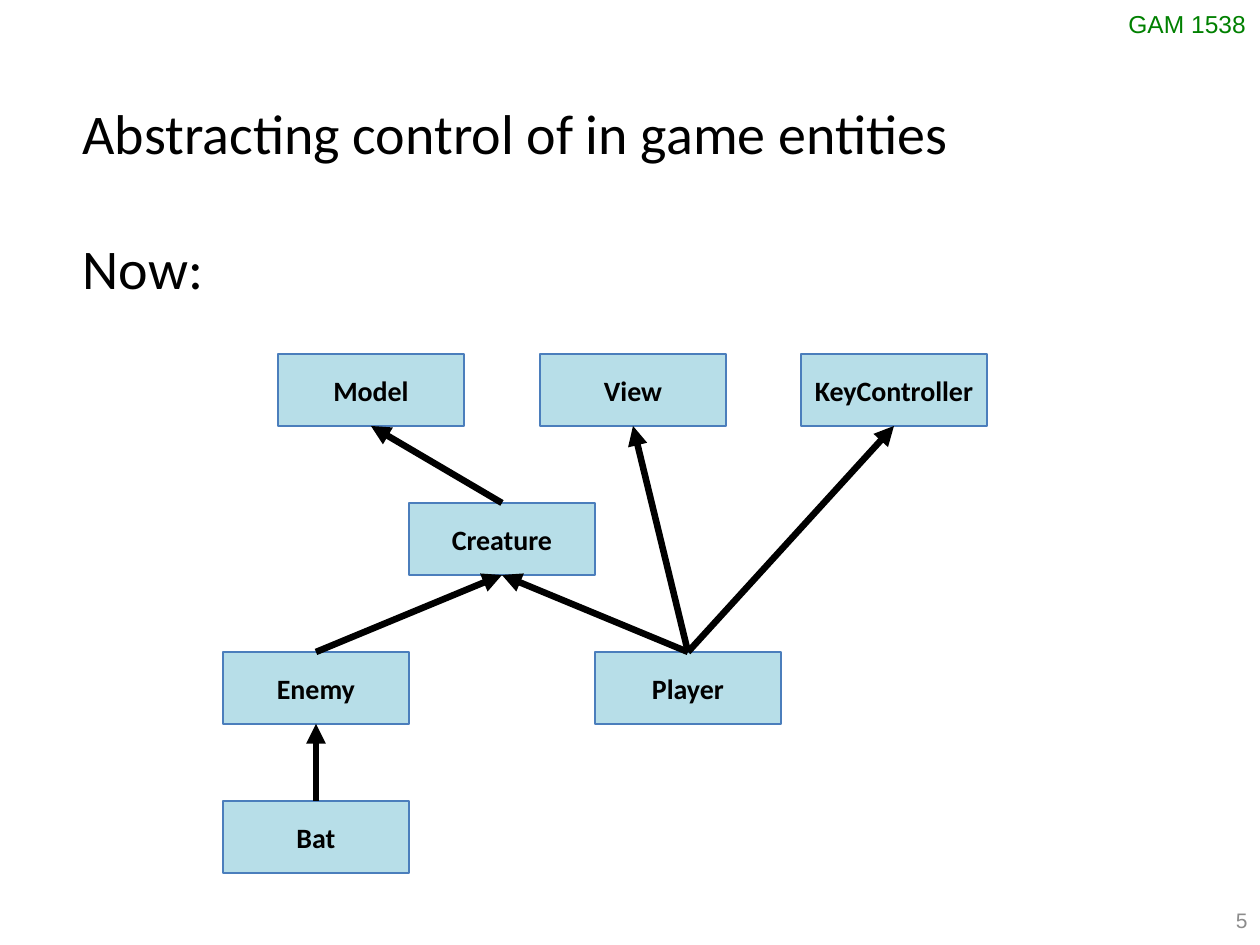
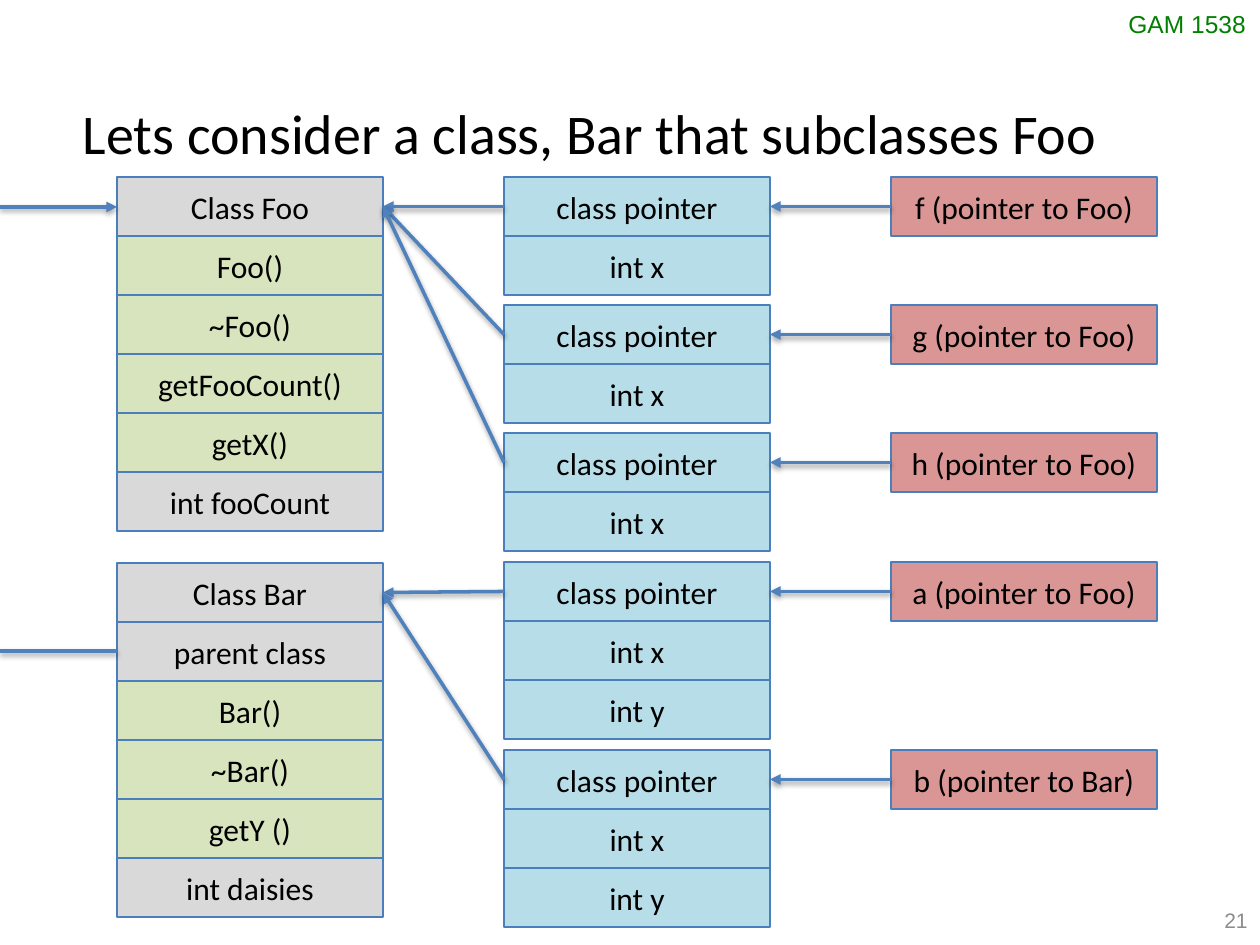
from lxml import etree
from pptx import Presentation
from pptx import util as u
from pptx.dml.color import RGBColor
from pptx.enum import shapes, text
from pptx.oxml import ns

EMU_PER_PX = 914400 / 126
BLACK, BLUE, GREEN, GREY, RED = "000000", "B7DEE8", "D7E4BD", "D9D9D9", "D99694"
OUTLINE, ARROW, COURSE, NUMBER = "4B7EBC", "4F81BD", "008000", "8C8C8C"
TOP, LEFT, BOTTOM, RIGHT = range(4)


def px(n):
    return u.Emu(round(n * EMU_PER_PX))


def rgb(value):
    return RGBColor.from_string(value)


def child(parent, tag, **attrs):
    return etree.SubElement(parent, ns.qn(tag), {k: str(v) for k, v in attrs.items()})


class Deck:
    def __init__(self):
        self.prs = Presentation()
        self.prs.slide_width, self.prs.slide_height = px(1260), px(945)
        self.s = None

    def style(self, p, size, color=BLACK, font="Calibri", bold=False, align=text.PP_ALIGN.LEFT):
        p.alignment = align
        p.font.size, p.font.name, p.font.bold = u.Pt(size), font, bold
        p.font.color.rgb = rgb(color)

    def slide(self, number, *lines):
        self.s = self.prs.slides.add_slide(self.prs.slide_layouts[5])
        self.title(lines)
        self.label("GAM 1538", 1116, 3, 143, 43, 14, COURSE)
        self.label(number, 966, 895, 294, 50, 12, NUMBER,
                   text.PP_ALIGN.RIGHT, text.MSO_ANCHOR.MIDDLE)

    def title(self, lines):
        sp = self.s.shapes.title
        sp.left, sp.top, sp.width, sp.height = px(70), px(92), px(1134), px(90 + 127 * (len(lines) - 1))
        tf = sp.text_frame
        tf.text = "\n".join(lines)
        tf.word_wrap, tf.auto_size = True, text.MSO_AUTO_SIZE.NONE
        tf.vertical_anchor = text.MSO_ANCHOR.TOP
        for i, p in enumerate(tf.paragraphs):
            p.space_before = u.Pt(39 if i else 0)
            self.style(p, 32)

    def label(self, words, x, y, w, h, size, color,
              align=text.PP_ALIGN.LEFT, anchor=text.MSO_ANCHOR.TOP):
        tf = self.s.shapes.add_textbox(px(x), px(y), px(w), px(h)).text_frame
        tf.text, tf.vertical_anchor = words, anchor
        tf.word_wrap = align == text.PP_ALIGN.RIGHT
        self.style(tf.paragraphs[0], size, color, "Arial", align=align)

    def box(self, words, x, y, w, h, fill, size=18, bold=False):
        sp = self.s.shapes.add_shape(shapes.MSO_SHAPE.RECTANGLE, px(x), px(y), px(w), px(h))
        sp.shadow.inherit = False
        sp.fill.solid()
        sp.fill.fore_color.rgb = rgb(fill)
        sp.line.color.rgb, sp.line.width = rgb(OUTLINE), u.Pt(0.75)
        tf = sp.text_frame
        tf.text, tf.word_wrap = words, False
        tf.vertical_anchor = text.MSO_ANCHOR.MIDDLE
        self.style(tf.paragraphs[0], size, bold=bold, align=text.PP_ALIGN.CENTER)
        return sp

    def stack(self, x, y, rows):
        return [self.box(words, x, y + 59 * i, 266, 59, fill)
                for i, (words, fill) in enumerate(rows)]

    def line(self, x1, y1, x2, y2, color, width, head=True, shadow=False):
        cx = self.s.shapes.add_connector(shapes.MSO_CONNECTOR.STRAIGHT, px(x1), px(y1), px(x2), px(y2))
        cx.line.color.rgb, cx.line.width = rgb(color), u.Pt(width)
        spPr = cx.element.spPr
        if head:
            child(spPr.find(ns.qn("a:ln")), "a:tailEnd", type="triangle")
        effects = child(spPr, "a:effectLst")
        if shadow:
            outer = child(effects, "a:outerShdw", blurRad=40000, dist=20000, dir=5400000, rotWithShape=0)
            child(child(outer, "a:srgbClr", val=BLACK), "a:alpha", val=38000)
        return cx

    def link(self, start, start_site, end, end_site, **look):
        cx = self.line(0, 0, 0, 0, **look)
        cx.begin_connect(start, start_site)
        cx.end_connect(end, end_site)


def control_slide(deck):
    deck.slide("5", "Abstracting control of in game entities", "Now:")
    places = {
        "Creature": (409, 1), "Enemy": (223, 2), "Bat": (223, 3), "Player": (595, 2),
        "Model": (278, 0), "View": (540, 0), "KeyController": (801, 0),
    }
    boxes = {name: deck.box(name, x, 354 + 149 * row, 186, 72, BLUE, 16, True)
             for name, (x, row) in places.items()}
    parents = [("Creature", "Model"), ("Player", "View"), ("Player", "KeyController"),
               ("Player", "Creature"), ("Enemy", "Creature"), ("Bat", "Enemy")]
    for name, parent in parents:
        deck.link(boxes[name], TOP, boxes[parent], BOTTOM, color=BLACK, width=3.75)


def subclass_slide(deck):
    deck.slide("21", "Lets consider a class, Bar that subclasses Foo")
    class_x, object_x, pointer_x = (117 + 387 * i for i in range(3))
    foo = deck.stack(class_x, 177, [
        ("Class Foo", GREY), ("Foo()", GREEN), ("~Foo()", GREEN),
        ("getFooCount()", GREEN), ("getX()", GREEN), ("int fooCount", GREY)])
    bar = deck.stack(class_x, 563, [
        ("Class Bar", GREY), ("parent class", GREY), ("Bar()", GREEN),
        ("~Bar()", GREEN), ("getY ()", GREEN), ("int daisies", GREY)])
    look = dict(color=ARROW, width=2, shadow=True)
    foo_fields, bar_fields = ["int x"], ["int x", "int y"]
    objects = [
        ("f (pointer to Foo)", 177, foo, foo_fields),
        ("g (pointer to Foo)", 305, foo, foo_fields),
        ("h (pointer to Foo)", 433, foo, foo_fields),
        ("a (pointer to Foo)", 562, bar, bar_fields),
        ("b (pointer to Bar)", 750, bar, bar_fields),
    ]
    for pointer, y, owner, fields in objects:
        instance = deck.stack(object_x, y, [(field, BLUE) for field in ["class pointer", *fields]])
        variable = deck.box(pointer, pointer_x, y, 266, 59, RED)
        deck.link(variable, LEFT, instance[0], RIGHT, **look)
        deck.link(instance[0], LEFT, owner[0], RIGHT, **look)
    deck.line(class_x, 651, 0, 651, head=False, **look)
    deck.line(0, 207, class_x, 207, **look)


def main():
    deck = Deck()
    control_slide(deck)
    subclass_slide(deck)
    deck.prs.save("out.pptx")


if __name__ == "__main__":
    main()
